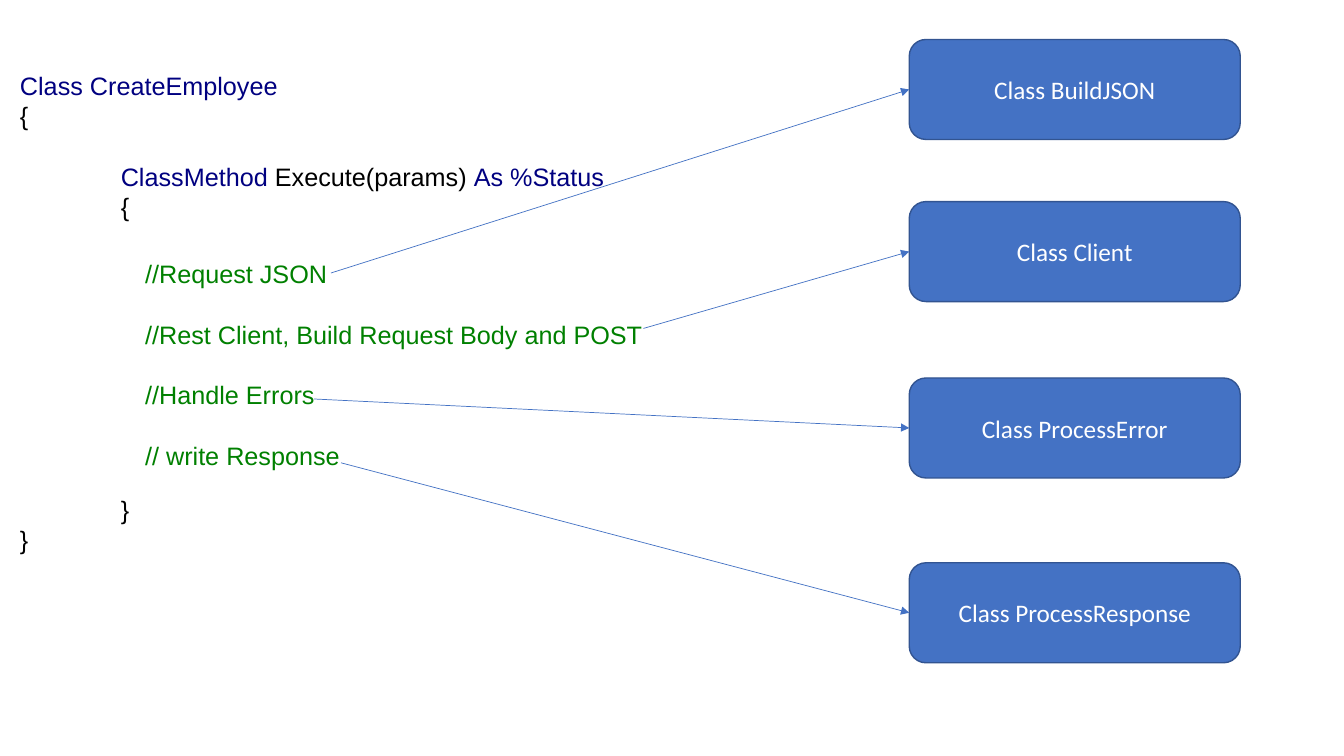
from pptx import Presentation
from pptx.dml.color import RGBColor
from pptx.enum.shapes import MSO_CONNECTOR, MSO_SHAPE
from pptx.enum.text import MSO_ANCHOR, PP_ALIGN
from pptx.oxml.ns import qn
from pptx.util import Inches, Pt
from lxml.etree import SubElement

COLUMNS, ROWS = 160, 90
LEFT_SIDE = 1
LINE_PITCH = 21.6

NAVY, BLACK, GREEN, WHITE = "000080", "000000", "008000", "FFFFFF"
BLUE, DARK_BLUE = "4472C4", "325491"


def color(value):
    return RGBColor.from_string(value)


class SlideBuilder:
    code_font = "Arial"
    label_font = "Calibri"
    text_size = Pt(18)

    def __init__(self, deck):
        self.column = deck.slide_width / COLUMNS
        self.row = deck.slide_height / ROWS
        self.slide = deck.slides.add_slide(deck.slide_layouts[6])

    def place(self, left, top, *size):
        lengths = [left * self.column, top * self.row]
        if size:
            lengths += [size[0] * self.column, size[1] * self.row]
        return [round(length) for length in lengths]

    def add_span(self, para, text, hue, font):
        span = para.add_run()
        span.text = text
        span.font.name = font
        span.font.size = self.text_size
        span.font.color.rgb = color(hue)

    def add_code(self, area, lines):
        box = self.slide.shapes.add_textbox(*self.place(*area))
        frame = box.text_frame
        frame.word_wrap = True
        for index, (blank_lines, indent, spans) in enumerate(lines):
            para = frame.add_paragraph() if index else frame.paragraphs[0]
            para.line_spacing = Pt(LINE_PITCH)
            para.space_before = Pt(blank_lines * LINE_PITCH)
            para._p.get_or_add_pPr().set("marL", str(Inches(indent)))
            for text, hue in spans:
                self.add_span(para, text, hue, self.code_font)

    def add_class_box(self, area, label):
        box = self.slide.shapes.add_shape(MSO_SHAPE.ROUNDED_RECTANGLE, *self.place(*area))
        box.shadow.inherit = False
        box.fill.solid()
        box.fill.fore_color.rgb = color(BLUE)
        box.line.color.rgb = color(DARK_BLUE)
        box.line.width = Pt(1)
        box.text_frame.word_wrap = True
        box.text_frame.vertical_anchor = MSO_ANCHOR.MIDDLE
        para = box.text_frame.paragraphs[0]
        para.alignment = PP_ALIGN.CENTER
        self.add_span(para, label, WHITE, self.label_font)
        return box

    def add_arrow(self, start, box):
        begin = self.place(*start)
        arrow = self.slide.shapes.add_connector(
            MSO_CONNECTOR.STRAIGHT, *begin, box.left, box.top + box.height // 2)
        arrow.end_connect(box, LEFT_SIDE)
        arrow.line.color.rgb = color(BLUE)
        arrow.line.width = Pt(0.5)
        SubElement(arrow.line._get_or_add_ln(), qn("a:tailEnd"), type="triangle")
        SubElement(arrow._element.spPr, qn("a:effectLst"))


deck = Presentation()
deck.slide_width, deck.slide_height = Inches(13.33), Inches(7.5)
builder = SlideBuilder(deck)

builder.add_code((1.2, 7.8, 72.5, 66.6), [
    (0, 0, [("Class CreateEmployee", NAVY)]),
    (0, 0, [("{", BLACK)]),
    (1, 1, [("ClassMethod\u00a0", NAVY), ("Execute(params) ", BLACK), ("As\u00a0%Status", NAVY)]),
    (0, 1, [("{", BLACK)]),
    (9, 1, [("}", BLACK)]),
    (0, 0, [("}", BLACK)]),
])

steps = [
    ("//Request JSON", (39.4, 32.5), "Class BuildJSON", 4.7),
    ("//Rest Client, Build Request Body and POST", (76.6, 39.1), "Class Client", 24),
    ("//Handle Errors", (37.4, 47.5), "Class ProcessError", 45),
    ("// write Response", (40.6, 55.1), "Class ProcessResponse", 67),
]
builder.add_code((16.1, 30.2, 62.2, 26.6), [
    (1 if index else 0, 0, [(comment, GREEN)])
    for index, (comment, *rest) in enumerate(steps)
])
for comment, arrow_start, label, top in steps:
    class_box = builder.add_class_box((108.25, top, 39.4, 11.9), label)
    builder.add_arrow(arrow_start, class_box)

deck.save("out.pptx")
